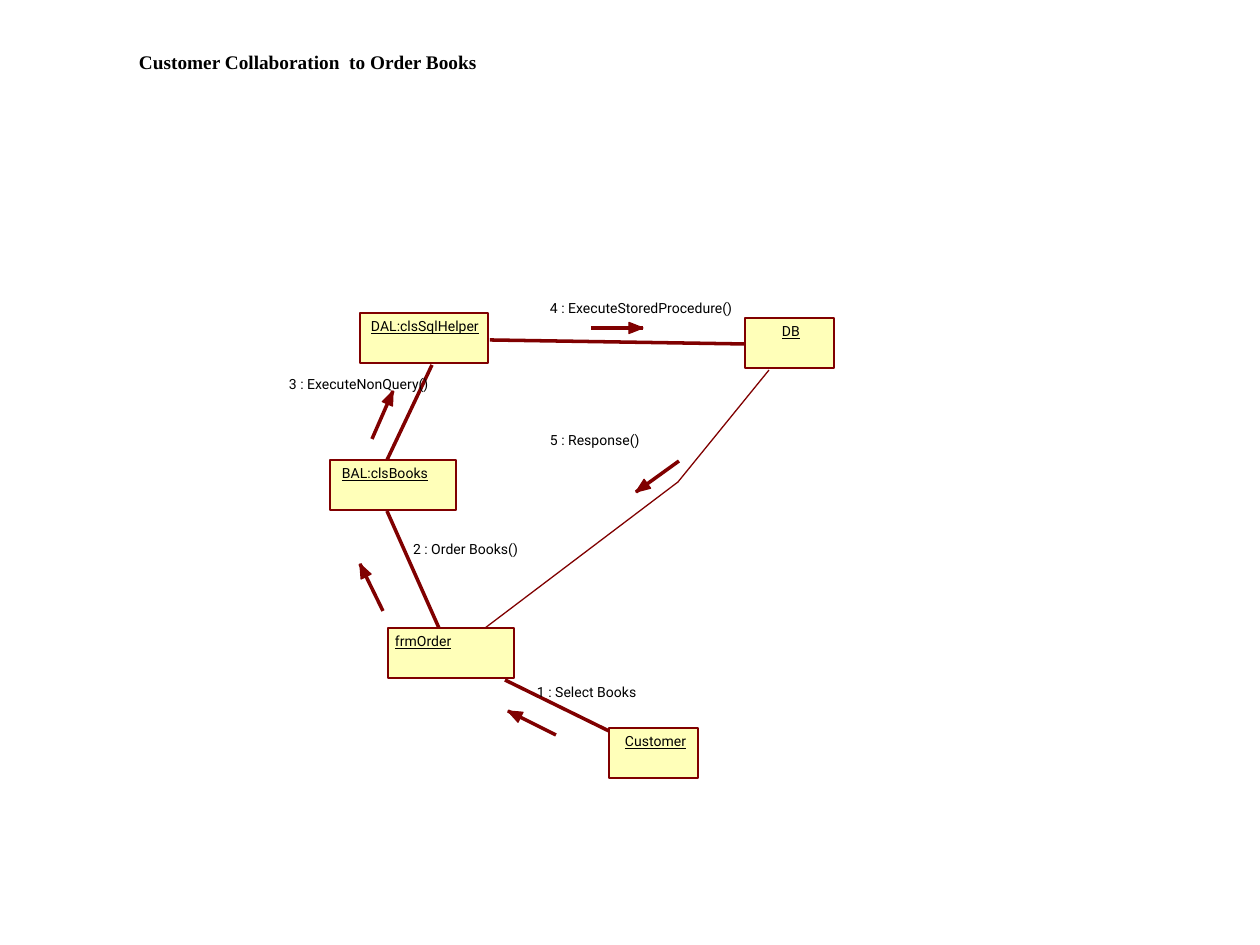
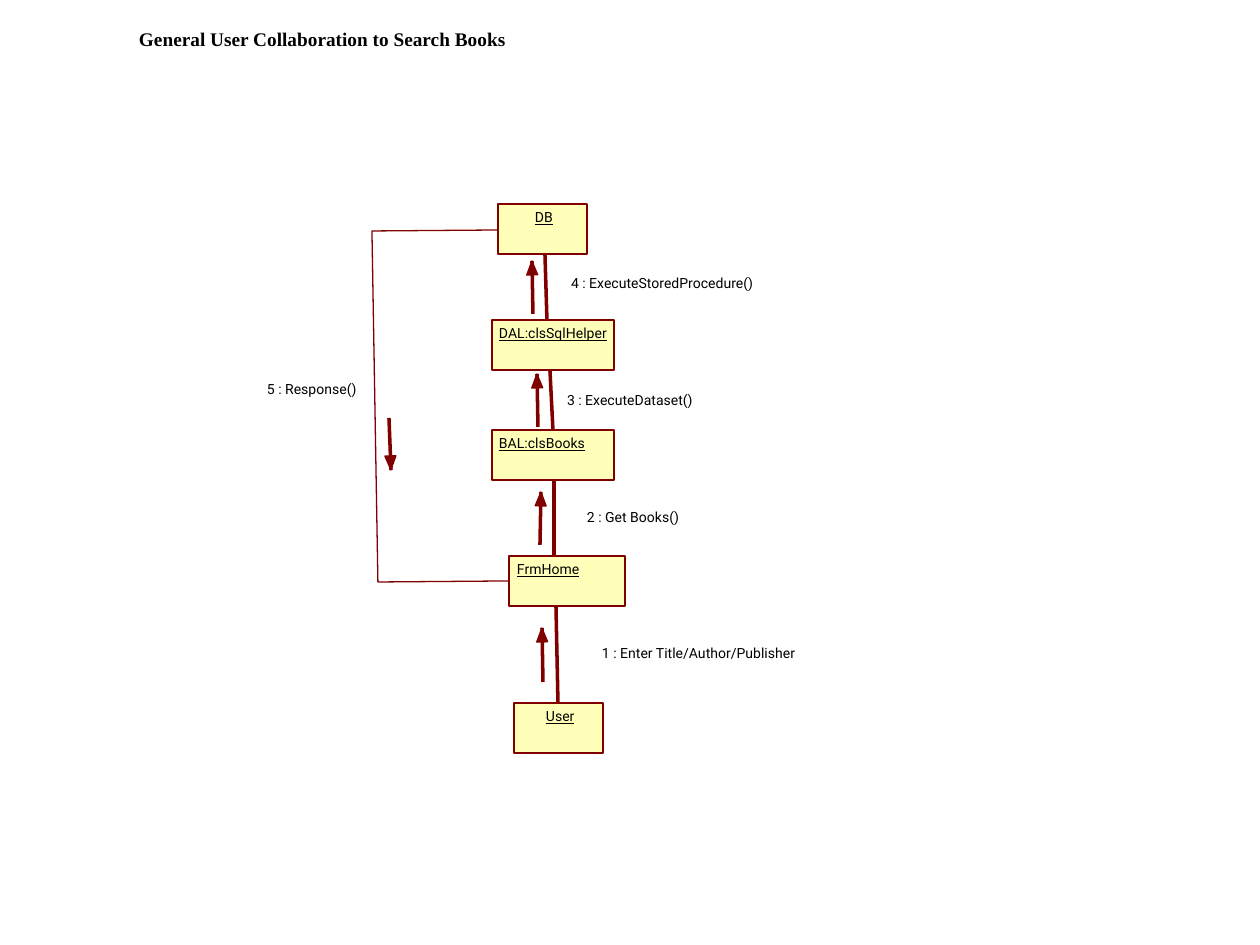
from math import hypot
from lxml import etree
from pptx import Presentation
from pptx.dml.color import RGBColor
from pptx.enum.shapes import MSO_CONNECTOR, MSO_SHAPE
from pptx.enum.text import MSO_ANCHOR, PP_ALIGN
from pptx.oxml.ns import qn
from pptx.util import Emu, Pt

RECT = MSO_SHAPE.RECTANGLE
LINE = MSO_CONNECTOR.STRAIGHT
TOP = MSO_ANCHOR.TOP
LEFT = PP_ALIGN.LEFT

SCALE = 914400 / 126
INK, CREAM, MAROON = "000000", "FFFFB9", "800000"
SANS, SERIF = "Roboto", "Times New Roman"
NODE_H, LABEL_H = 50, 36
HEAD_LEN, HEAD_HALF = 14, 5.5


def px(n):
    return Emu(round(n * SCALE))


def color(code):
    return RGBColor.from_string(code)


def write(shape, text, font, size, inset=(0, 0), bold=False, under=False):
    frame = shape.text_frame
    frame.word_wrap = True
    frame.vertical_anchor = TOP
    frame.margin_left, frame.margin_top = map(px, inset)
    frame.margin_right = frame.margin_bottom = 0
    para = frame.paragraphs[0]
    para.text = text
    para.alignment = LEFT
    style = para.font
    style.name, style.size = font, Pt(size)
    style.bold, style.underline = bold, under
    style.color.rgb = color(INK)


def paint(shape, fill=None):
    shape.shadow.inherit = False
    if fill:
        shape.fill.solid()
        shape.fill.fore_color.rgb = color(fill)
    else:
        shape.fill.background()
    outline(shape)


def outline(shape):
    shape.line.color.rgb = color(MAROON)
    shape.line.width = Pt(0)


def title(slide, text, box, inset):
    area = slide.shapes.add_textbox(*map(px, box))
    write(area, text, SERIF, 11, inset, bold=True)


def node(slide, text, x, y, width, inset):
    box = slide.shapes.add_shape(RECT, px(x), px(y), px(width), px(NODE_H))
    paint(box, CREAM)
    write(box, text, SANS, 8, (inset, 5), under=True)


def label(slide, text, x, y, width):
    area = slide.shapes.add_textbox(px(x), px(y), px(width), px(LABEL_H))
    write(area, text, SANS, 8)


def trace(slide, points, fill=None):
    start, *rest = [(px(x), px(y)) for x, y in points]
    pen = slide.shapes.build_freeform(*start, scale=1.0)
    pen.add_line_segments(rest, close=bool(fill))
    paint(pen.convert_to_shape(), fill)


def link(slide, points):
    if len(points) > 2:
        trace(slide, points)
        return
    ends = [px(n) for point in points for n in point]
    line = slide.shapes.add_connector(LINE, *ends)
    outline(line)
    etree.SubElement(line._element.spPr, qn("a:effectLst"))


def arrow(slide, tail, tip):
    link(slide, [tail, tip])
    (x1, y1), (x2, y2) = tail, tip
    size = hypot(x2 - x1, y2 - y1)
    ux, uy = (x2 - x1) / size, (y2 - y1) / size
    bx, by = x2 - HEAD_LEN * ux, y2 - HEAD_LEN * uy
    dx, dy = -HEAD_HALF * uy, HEAD_HALF * ux
    trace(slide, [(bx + dx, by + dy), tip, (bx - dx, by - dy)], MAROON)


def diagram(slide, origin, nodes, links, arrows, labels):
    left, top = origin

    def shift(points):
        return [(left + x, top + y) for x, y in points]

    for points in links:
        link(slide, shift(points))
    for text, x, y, width, inset in nodes:
        node(slide, text, left + x, top + y, width, inset)
    for ends in arrows:
        arrow(slide, *shift(ends))
    for text, x, y, width in labels:
        label(slide, text, left + x, top + y, width)


ORDER = dict(
    origin=(289, 300),
    nodes=[
        ("Customer", 320, 428, 89, 16),
        ("frmOrder", 99, 328, 126, 7),
        ("BAL:clsBooks", 41, 160, 126, 12),
        ("DAL:clsSqlHelper", 71, 13, 128, 11),
        ("DB", 456, 18, 89, 37),
    ],
    links=[
        [(320, 431), (216, 380)],
        [(150, 328), (98, 211)],
        [(98, 160), (143, 65)],
        [(201, 40), (456, 44)],
        [(480, 70), (389, 182), (196, 328)],
    ],
    arrows=[
        [(267, 435), (219, 411)],
        [(94, 311), (71, 264)],
        [(83, 139), (104, 91)],
        [(302, 28), (354, 28)],
        [(390, 161), (347, 192)],
    ],
    labels=[
        ("1 : Select Books", 248, 384, 107),
        ("2 : Order Books()", 124, 241, 117),
        ("3 : ExecuteNonQuery()", 0, 76, 149),
        ("4 : ExecuteStoredProcedure()", 261, 0, 193),
        ("5 : Response()", 261, 132, 98),
    ],
)

SEARCH = dict(
    origin=(267, 204),
    nodes=[
        ("User", 247, 499, 89, 32),
        ("FrmHome", 242, 352, 116, 8),
        ("BAL:clsBooks", 225, 226, 122, 7),
        ("DAL:clsSqlHelper", 225, 116, 122, 7),
        ("DB", 231, 0, 89, 37),
    ],
    links=[
        [(291, 499), (289, 403)],
        [(287, 352), (287, 277)],
        [(286, 226), (283, 167)],
        [(280, 116), (278, 51)],
        [(231, 26), (105, 27), (111, 378), (242, 377)],
    ],
    arrows=[
        [(276, 478), (275, 424)],
        [(273, 341), (274, 288)],
        [(271, 223), (270, 170)],
        [(266, 110), (265, 57)],
        [(122, 214), (124, 266)],
    ],
    labels=[
        ("1 : Enter Title/Author/Publisher", 335, 441, 204),
        ("2 : Get Books()", 320, 305, 102),
        ("3 : ExecuteDataset()", 300, 188, 134),
        ("4 : ExecuteStoredProcedure()", 304, 71, 193),
        ("5 : Response()", 0, 177, 98),
    ],
)

PAGES = [
    ("Customer Collaboration  to Order Books", (0, 0, 493, 144), (139, 78), ORDER),
    ("General User Collaboration to Search Books", (0, 0, 522, 97), (139, 32), SEARCH),
]

deck = Presentation()
deck.slide_width, deck.slide_height = px(1260), px(945)
for text, box, inset, parts in PAGES:
    page = deck.slides.add_slide(deck.slide_layouts[6])
    title(page, text, box, inset)
    diagram(page, **parts)
deck.save("out.pptx")
